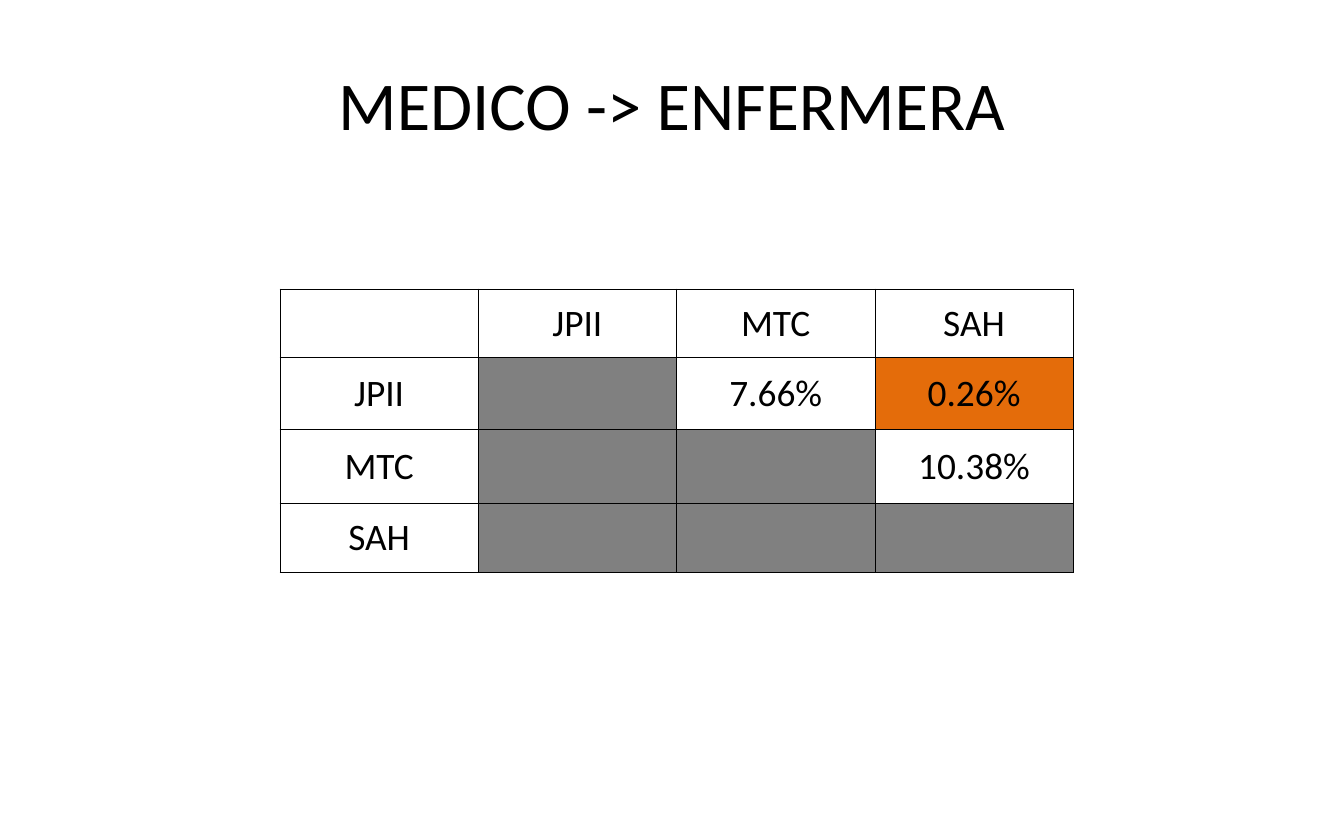
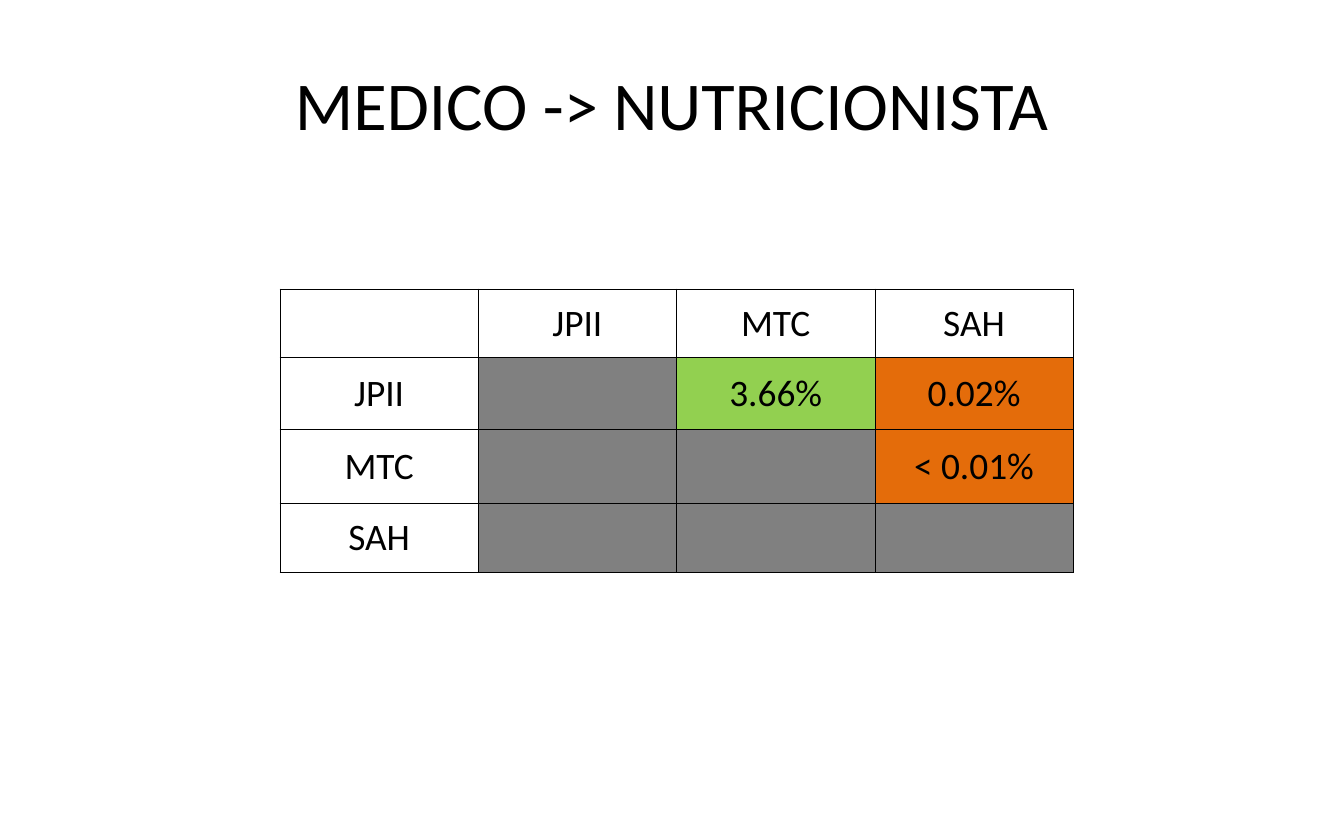
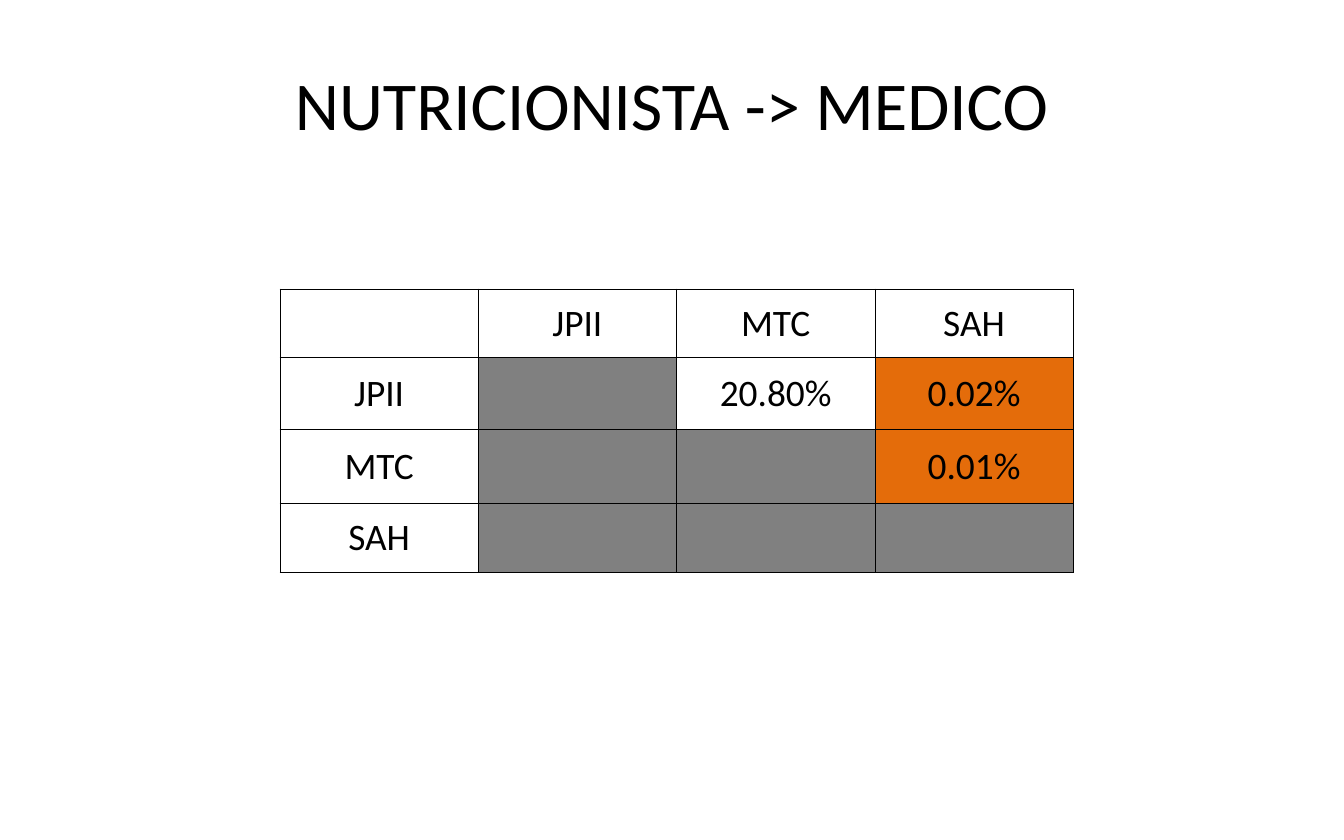
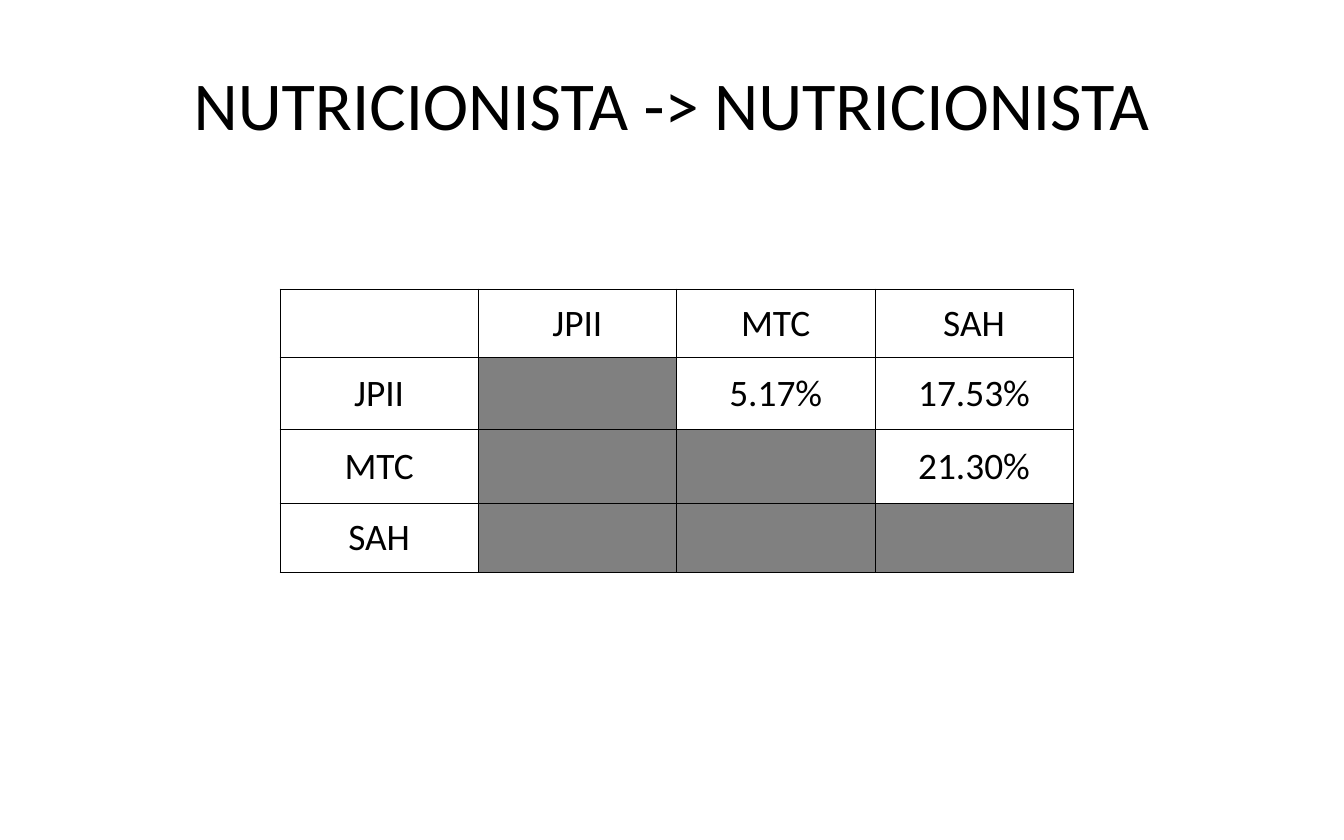
from dataclasses import dataclass

from lxml import etree
from pptx import Presentation
from pptx.dml.color import RGBColor
from pptx.enum.text import MSO_ANCHOR, PP_ALIGN
from pptx.oxml.ns import qn
from pptx.util import Pt

CENTER = PP_ALIGN.CENTER
MIDDLE = MSO_ANCHOR.MIDDLE
TITLE_ONLY = 5


@dataclass(frozen=True)
class Theme:
    font: str = "Calibri"
    ink: str = "000000"
    paper: str = "FFFFFF"
    unused: str = "808080"
    strong: str = "E46C0A"
    moderate: str = "92D050"
    title_size: float = 44
    cell_size: float = 24
    border: float = 0.5


HOSPITALS = ["JPII", "MTC", "SAH"]
ROW_HEIGHTS = [44.2, 45.9, 47.7, 44.2]
COLUMN_WIDTH = 127.5
MATRIX_LEFT, MATRIX_TOP = 180, 185.8

COMPARISONS = [
    ("MEDICO -> ENFERMERA", ["7.66%", "0.26%", "10.38%"]),
    ("MEDICO -> NUTRICIONISTA", ["3.66%", "0.02%", "< 0.01%"]),
    ("NUTRICIONISTA -> MEDICO", ["20.80%", "0.02%", "0.01%"]),
    ("NUTRICIONISTA -> NUTRICIONISTA", ["5.17%", "17.53%", "21.30%"]),
]


def write(frame, text, *, size, color, font, align=CENTER):
    frame.word_wrap = True
    paragraph = frame.paragraphs[0]
    paragraph.alignment = align
    run = paragraph.add_run()
    run.text = text
    run.font.size = Pt(size)
    run.font.name = font
    run.font.bold = False
    run.font.color.rgb = RGBColor.from_string(color)


class Deck:
    def __init__(self, theme):
        self.theme = theme
        self.presentation = Presentation()
        self.presentation.slide_width = Pt(864)
        self.presentation.slide_height = Pt(540)
        self.slide = None

    def add_slide(self, heading):
        layout = self.presentation.slide_layouts[TITLE_ONLY]
        self.slide = self.presentation.slides.add_slide(layout)
        title = self.slide.shapes.title
        title.left, title.top = Pt(43.2), Pt(21.6)
        title.width, title.height = Pt(777.6), Pt(90)
        title.text_frame.vertical_anchor = MIDDLE
        write(title.text_frame, heading, size=self.theme.title_size,
              color=self.theme.ink, font=self.theme.font)

    def value_fill(self, value):
        percent = float(value.strip("<% "))
        if percent < 1:
            return self.theme.strong
        return self.theme.moderate if percent < 5 else self.theme.paper

    def outline(self, cell):
        properties = cell._tc.get_or_add_tcPr()
        for side in ("a:lnL", "a:lnR", "a:lnT", "a:lnB"):
            line = etree.SubElement(properties, qn(side), w=str(Pt(self.theme.border)))
            fill = etree.SubElement(line, qn("a:solidFill"))
            etree.SubElement(fill, qn("a:srgbClr"), val=self.theme.ink)

    def cell(self, cell, text, fill):
        self.outline(cell)
        cell.fill.solid()
        cell.fill.fore_color.rgb = RGBColor.from_string(fill)
        cell.vertical_anchor = MIDDLE
        cell.margin_left = cell.margin_right = cell.margin_top = Pt(0.72)
        cell.margin_bottom = Pt(0)
        if text:
            write(cell.text_frame, text, size=self.theme.cell_size,
                  color=self.theme.ink, font=self.theme.font)

    def matrix(self, values):
        labels = [""] + HOSPITALS
        count = len(labels)
        table = self.slide.shapes.add_table(
            count, count, Pt(MATRIX_LEFT), Pt(MATRIX_TOP),
            Pt(COLUMN_WIDTH * count), Pt(sum(ROW_HEIGHTS))).table
        table.first_row = table.horz_banding = False
        for column in table.columns:
            column.width = Pt(COLUMN_WIDTH)
        remaining = iter(values)
        for r, height in enumerate(ROW_HEIGHTS):
            table.rows[r].height = Pt(height)
            for c in range(count):
                if r == 0 or c == 0:
                    text, fill = labels[r + c], self.theme.paper
                elif c > r:
                    text = next(remaining)
                    fill = self.value_fill(text)
                else:
                    text, fill = "", self.theme.unused
                self.cell(table.cell(r, c), text, fill)


def main():
    deck = Deck(Theme())
    for heading, values in COMPARISONS:
        deck.add_slide(heading)
        deck.matrix(values)
    deck.presentation.save("out.pptx")


if __name__ == "__main__":
    main()
